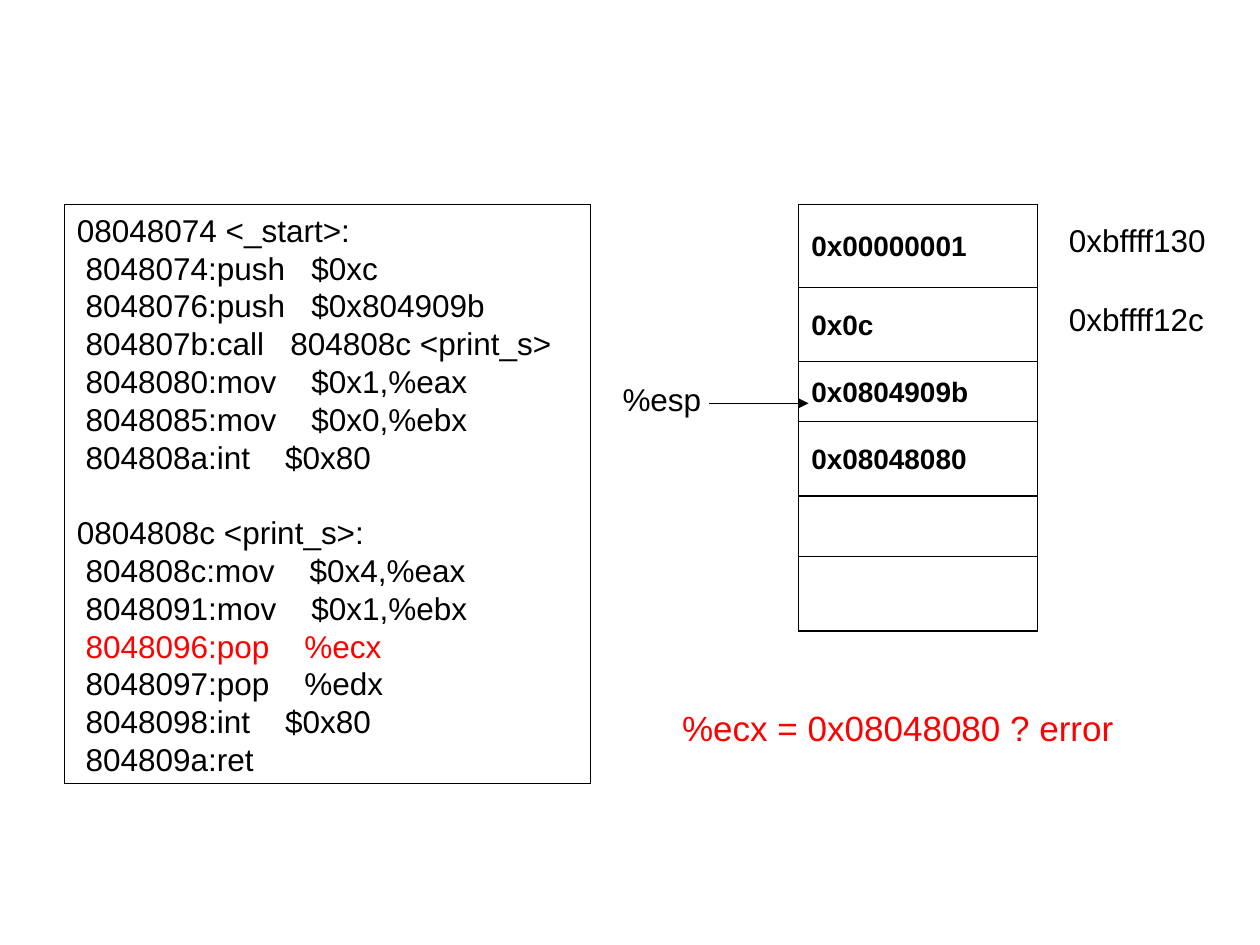
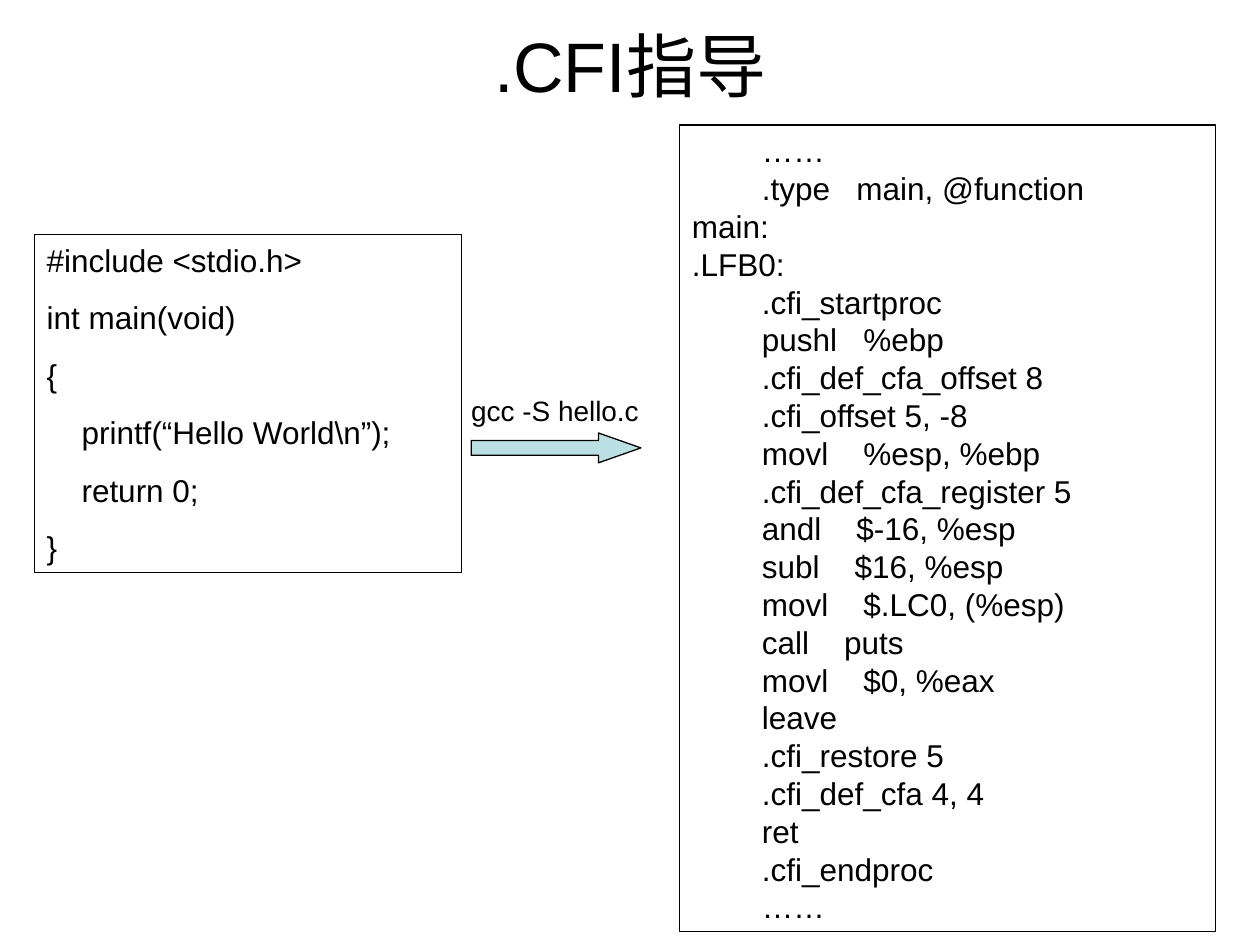
import pptx
import pptx.util
import pptx.dml.color
import pptx.enum.shapes
import pptx.enum.text
import pptx.oxml.ns
from lxml import etree

Cm, Pt = pptx.util.Cm, pptx.util.Pt
SHAPE = pptx.enum.shapes.MSO_SHAPE
ALIGN = pptx.enum.text.PP_ALIGN
ANCHOR = pptx.enum.text.MSO_ANCHOR
qn = pptx.oxml.ns.qn

BLACK, RED, TEAL = "000000", "FF0000", "BBE0E3"
FONT, BODY, LEAD, RULE = "Arial", 18, 1.2, 0.75
PAD_X, PAD_Y = 0.25, 0.13

# Slide 1: stack walk-through
START = [
    "08048074 <_start>:",
    " 8048074:push   $0xc",
    " 8048076:push   $0x804909b",
    " 804807b:call   804808c <print_s>",
    " 8048080:mov    $0x1,%eax",
    " 8048085:mov    $0x0,%ebx",
    " 804808a:int    $0x80",
]
PRINT = [
    "0804808c <print_s>:",
    " 804808c:mov    $0x4,%eax",
    " 8048091:mov    $0x1,%ebx",
    " 8048096:pop    %ecx",
    " 8048097:pop    %edx",
    " 8048098:int    $0x80",
    " 804809a:ret",
]
ACTIVE = PRINT[3]
STACK = [  # value, row height in cm
    ("0x00000001", 1.68), ("0x0c", 1.48), ("0x0804909b", 1.22),
    ("0x08048080", 1.5), ("", 1.22), ("", 1.5),
]
LABELS = [  # text, box in cm, size, colour
    ("0xbffff130", (21.3, 4.33, 3.4, 1.02), BODY, BLACK),
    ("0xbffff12c", (21.3, 5.92, 3.4, 1.02), BODY, BLACK),
    ("%esp", (12.3, 7.53, 2.2, 1.02), BODY, BLACK),
    ("%ecx = 0x08048080 ? error", (13.5, 14.12, 10.2, 1.12), 20, RED),
]

# Slide 2: compiler directives
TITLE = ".CFI指导"
SOURCE = [
    "#include <stdio.h>",
    "int main(void)",
    "{",
    "    printf(“Hello World\\n”);",
    "    return 0;",
    "}",
]
COMMAND = "gcc -S hello.c"
OUTPUT = [
    "        ……",
    "        .type   main, @function",
    "main:",
    ".LFB0:",
    "        .cfi_startproc",
    "        pushl   %ebp",
    "        .cfi_def_cfa_offset 8",
    "        .cfi_offset 5, -8",
    "        movl    %esp, %ebp",
    "        .cfi_def_cfa_register 5",
    "        andl    $-16, %esp",
    "        subl    $16, %esp",
    "        movl    $.LC0, (%esp)",
    "        call    puts",
    "        movl    $0, %eax",
    "        leave",
    "        .cfi_restore 5",
    "        .cfi_def_cfa 4, 4",
    "        ret",
    "        .cfi_endproc",
    "        ……",
]


def color(code):
    return pptx.dml.color.RGBColor.from_string(code)


def place(box):
    return [Cm(n) for n in box]


def write(para, text, size=BODY, ink=BLACK, bold=False):
    para.line_spacing = Pt(size * LEAD)
    run = para.add_run()
    run.text = text
    font = run.font
    font.name, font.size, font.bold = FONT, Pt(size), bold
    font.color.rgb = color(ink)


def setup(frame, pad_x=PAD_X, pad_y=PAD_Y, wrap=True):
    frame.word_wrap = wrap
    frame.margin_left = frame.margin_right = Cm(pad_x)
    frame.margin_top = frame.margin_bottom = Cm(pad_y)
    frame.vertical_anchor = ANCHOR.TOP


def label(slide, text, box, size=BODY, ink=BLACK, **pads):
    frame = slide.shapes.add_textbox(*place(box)).text_frame
    setup(frame, wrap=False, **pads)
    write(frame.paragraphs[0], text, size, ink)
    return frame


def outline(slide, kind, box):
    shape = slide.shapes.add_shape(kind, *place(box))
    shape.shadow.inherit = False
    shape.fill.background()
    shape.line.color.rgb = color(BLACK)
    shape.line.width = Pt(RULE)
    return shape


def listing(slide, lines, box, gaps):
    """Framed code; gaps maps a line number to the points before it."""
    frame = outline(slide, SHAPE.RECTANGLE, box).text_frame
    setup(frame)
    for i, line in enumerate(lines):
        para = frame.add_paragraph() if i else frame.paragraphs[0]
        para.alignment = ALIGN.LEFT
        para.space_before = Pt(gaps.get(i, 0))
        write(para, line, ink=RED if line == ACTIVE else BLACK)


def border(cell):
    props = cell._tc.get_or_add_tcPr()
    for i, side in enumerate(("a:lnL", "a:lnR", "a:lnT", "a:lnB")):
        edge = etree.Element(qn(side), w=str(Pt(RULE)))
        fill = etree.SubElement(edge, qn("a:solidFill"))
        etree.SubElement(fill, qn("a:srgbClr"), val=BLACK)
        props.insert(i, edge)


def stack(slide, left, top, width):
    high = sum(row[1] for row in STACK)
    table = slide.shapes.add_table(
        len(STACK), 1, *place((left, top, width, high))).table
    table.first_row = table.horz_banding = False
    for i, (value, tall) in enumerate(STACK):
        table.rows[i].height = Cm(tall)
        cell = table.cell(i, 0)
        cell.fill.background()
        cell.vertical_anchor = ANCHOR.MIDDLE
        border(cell)
        if value:
            write(cell.text_frame.paragraphs[0], value, 16, bold=True)


def pointer(slide, left, right, y):
    line = slide.shapes.add_connector(
        pptx.enum.shapes.MSO_CONNECTOR.STRAIGHT,
        *place((left, y, right, y)))
    line.line.color.rgb = color(BLACK)
    line.line.width = Pt(RULE)
    etree.SubElement(line.line._get_or_add_ln(), qn("a:tailEnd"),
                     type="triangle")
    etree.SubElement(line._element.spPr, qn("a:effectLst"))


def main():
    deck = pptx.Presentation()
    deck.slide_width, deck.slide_height = Cm(25.4), Cm(19.05)
    blank = deck.slide_layouts[6]

    # Stack state while print_s runs
    slide = deck.slides.add_slide(blank)
    listing(slide, START + PRINT, (1.3, 4.12, 10.6, 11.68),
            {len(START): BODY * LEAD})
    stack(slide, 16.1, 4.12, 4.81)
    for item in LABELS:
        label(slide, *item)
    pointer(slide, 14.3, 16.3, 8.13)

    # From C source to assembly with directives
    slide = deck.slides.add_slide(blank)
    head = label(slide, TITLE, (1.27, 0.33, 22.86, 1.96), 40)
    head.word_wrap = True
    head.vertical_anchor = ANCHOR.MIDDLE
    head.paragraphs[0].alignment = ALIGN.CENTER
    listing(slide, OUTPUT, (13.7, 2.52, 10.8, 16.26), {})
    listing(slide, SOURCE, (0.69, 4.73, 8.61, 6.81),
            {i: 11.2 for i in range(1, len(SOURCE))})
    arrow = outline(slide, SHAPE.RIGHT_ARROW, (9.5, 8.73, 3.42, 0.6))
    arrow.fill.solid()
    arrow.fill.fore_color.rgb = color(TEAL)
    arrow.adjustments[0], arrow.adjustments[1] = 0.5, 1.42
    label(slide, COMMAND, (9.5, 7.93, 3.42, 0.69), 16, pad_x=0, pad_y=0)

    deck.save("out.pptx")


if __name__ == "__main__":
    main()
